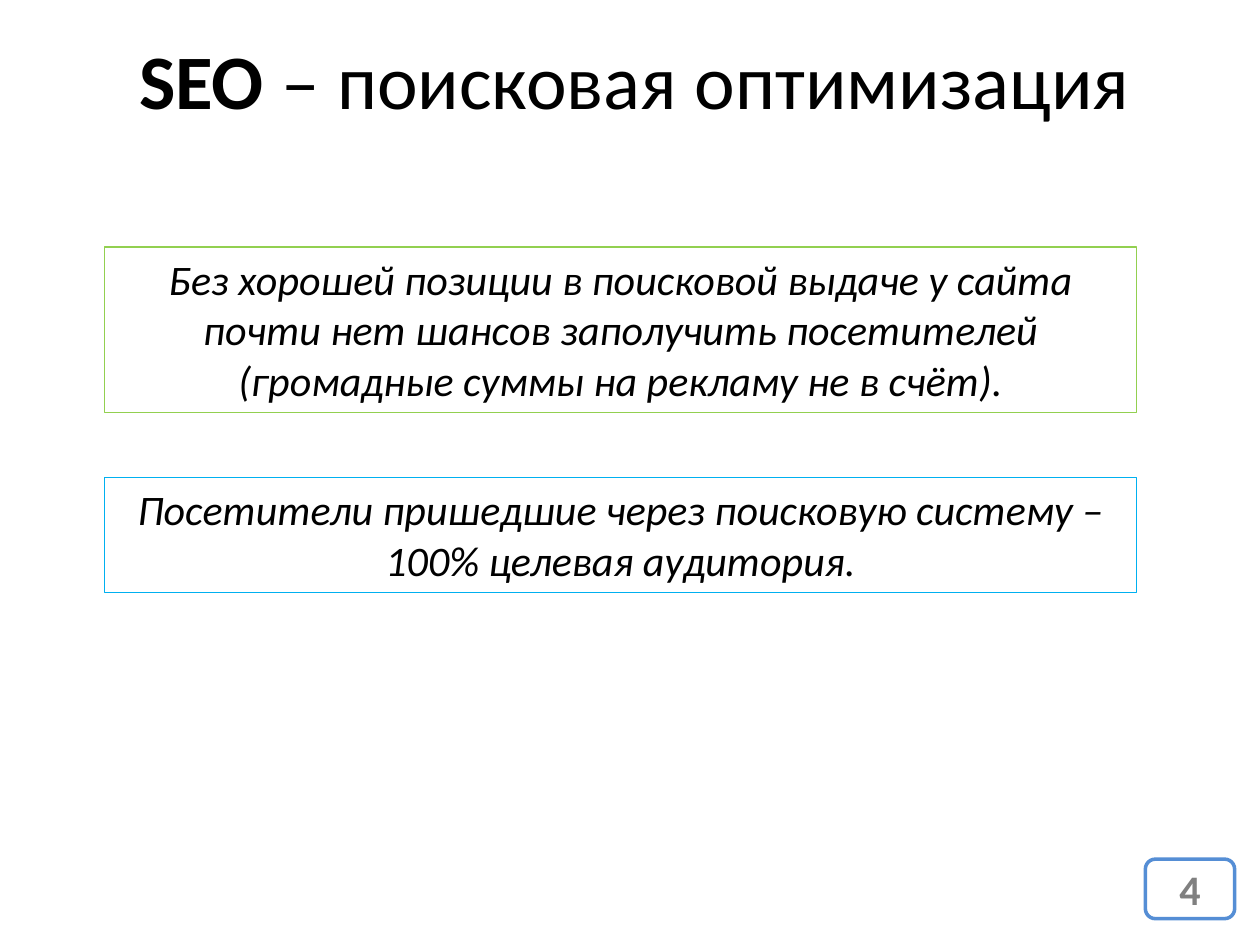
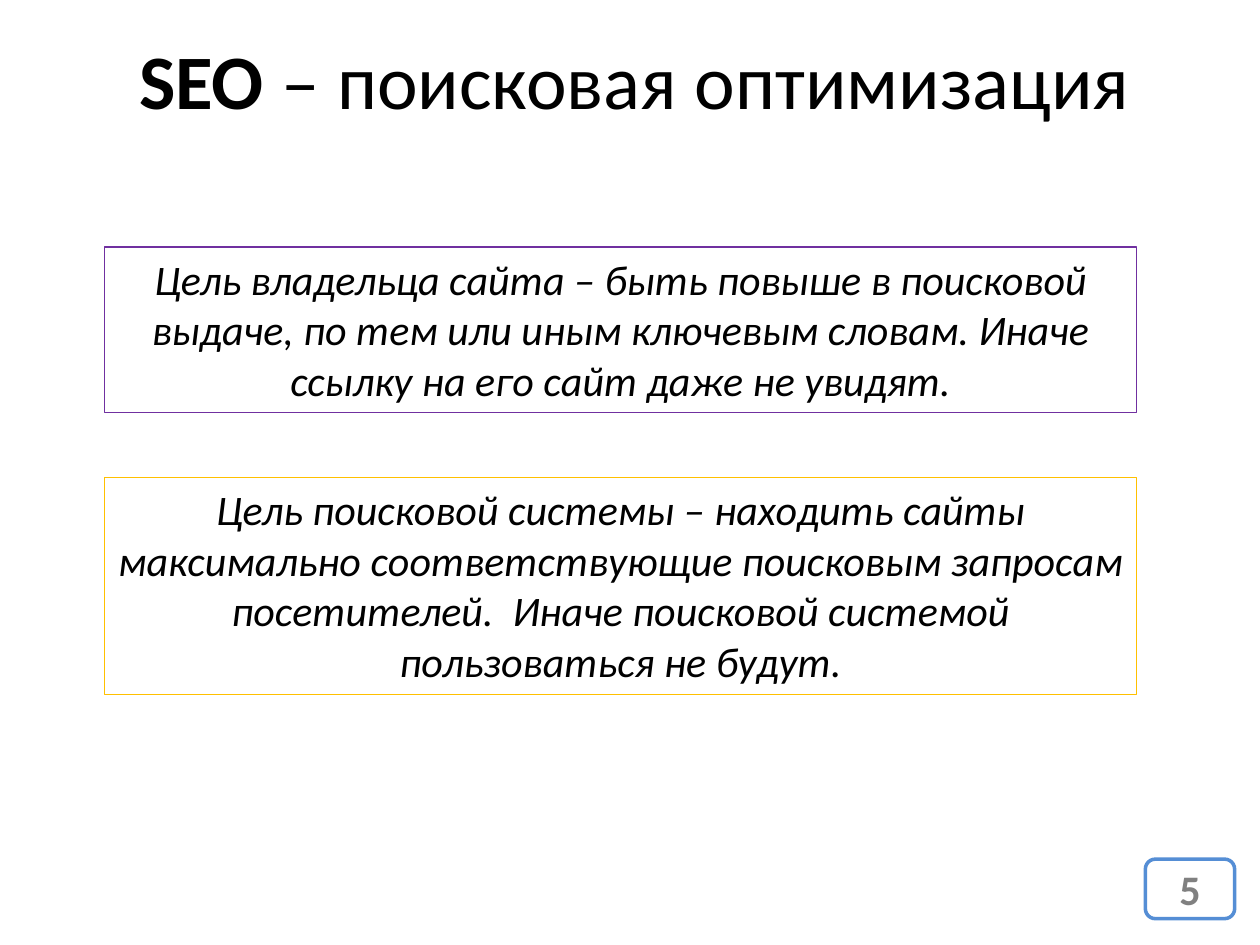
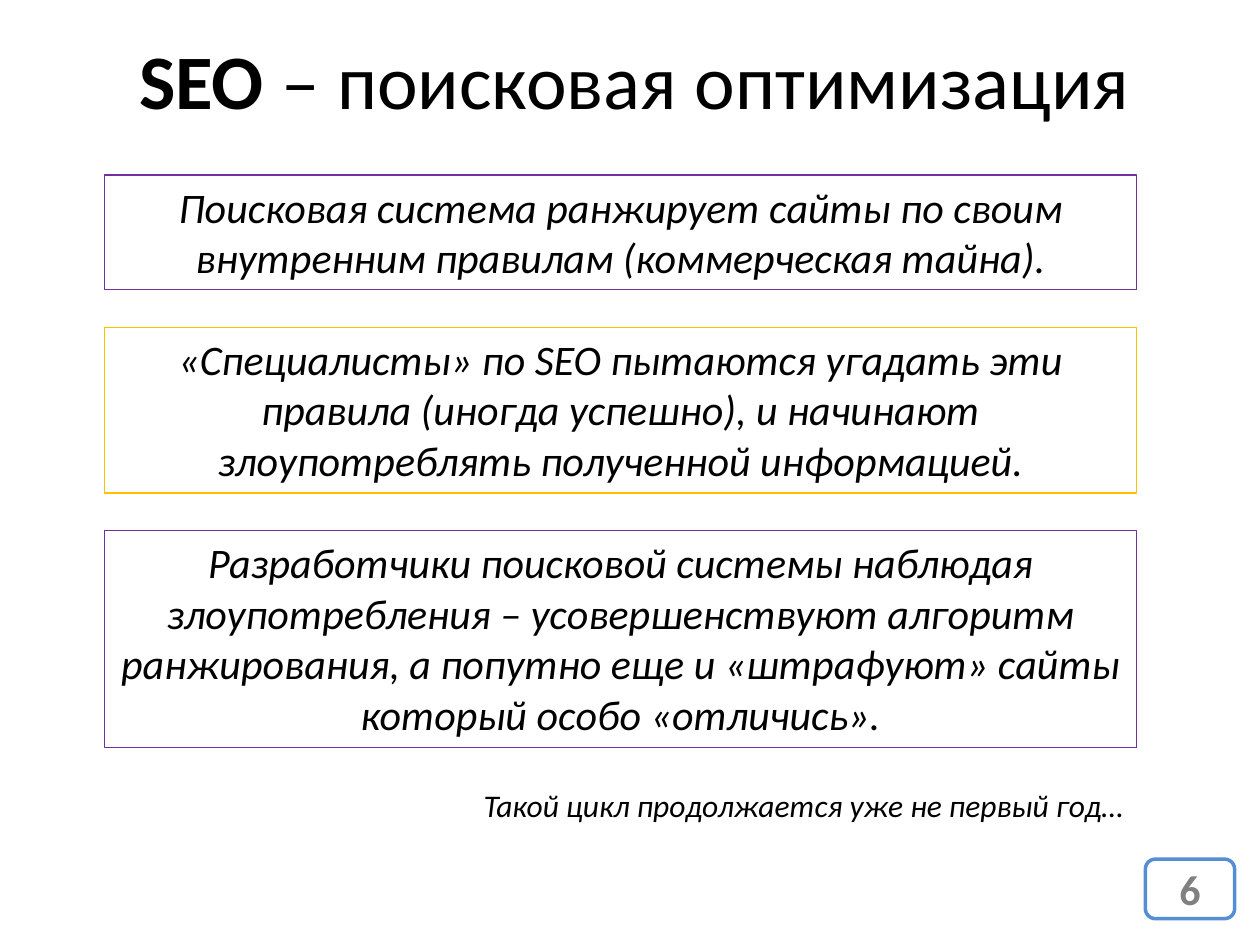
from pptx import Presentation
from pptx.dml.color import RGBColor
from pptx.enum.shapes import MSO_SHAPE
from pptx.enum.text import MSO_ANCHOR, MSO_AUTO_SIZE, PP_ALIGN
from pptx.util import Cm, Pt

BLACK = RGBColor(0x00, 0x00, 0x00)
WHITE = RGBColor(0xFF, 0xFF, 0xFF)
GREY = RGBColor(0x80, 0x80, 0x80)
GREEN = RGBColor(0x92, 0xD0, 0x50)
CYAN = RGBColor(0x00, 0xB0, 0xF0)
PURPLE = RGBColor(0x70, 0x30, 0xA0)
AMBER = RGBColor(0xFF, 0xC0, 0x00)
BADGE_BLUE = RGBColor(0x55, 0x8E, 0xD5)

FONT = "Calibri"
TITLE_ONLY = 5
FIRST_NUMBER = 4
THESIS_LEFT, THESIS_WIDTH = 2.11, 20.8
LINE_HEIGHT, THESIS_PADDING = 1.03, 0.25

TOPICS = [
    {
        "top": 4.98,
        "gap": 1.31,
        "theses": [
            ("Без хорошей позиции в поисковой выдаче у сайта почти нет шансов "
             "заполучить посетителей (громадные суммы на рекламу не в счёт).", 3, GREEN),
            ("Посетители пришедшие через поисковую систему – "
             "100% целевая аудитория.", 2, CYAN),
        ],
    },
    {
        "top": 4.98,
        "gap": 1.31,
        "theses": [
            ("Цель владельца сайта – быть повыше в поисковой выдаче, по тем или иным "
             "ключевым словам. Иначе ссылку на его сайт даже не увидят.", 3, PURPLE),
            ("Цель поисковой системы – находить сайты максимально соответствующие "
             "поисковым запросам посетителей.  Иначе поисковой системой "
             "пользоваться не будут.", 4, AMBER),
        ],
    },
    {
        "top": 3.53,
        "gap": 0.76,
        "theses": [
            ("Поисковая система ранжирует сайты по своим внутренним правилам "
             "(коммерческая тайна).", 2, PURPLE),
            ("«Специалисты» по SEO пытаются угадать эти правила (иногда успешно), "
             "и начинают злоупотреблять полученной информацией.", 3, AMBER),
            ("Разработчики поисковой системы наблюдая злоупотребления – "
             "усовершенствуют алгоритм ранжирования, а попутно еще и «штрафуют» "
             "сайты который особо «отличись».", 4, PURPLE),
        ],
        "remark": "Такой цикл продолжается уже не первый год…",
    },
]


def write(frame, text, size=24, color=BLACK, bold=False, italic=False,
          align=PP_ALIGN.CENTER, anchor=MSO_ANCHOR.TOP, wrap=True,
          fit=MSO_AUTO_SIZE.SHAPE_TO_FIT_TEXT):
    """Append a formatted run to the first paragraph of a text frame."""
    frame.word_wrap = wrap
    frame.auto_size = fit
    frame.vertical_anchor = anchor
    paragraph = frame.paragraphs[0]
    paragraph.alignment = align
    run = paragraph.add_run()
    run.text = text
    run.font.name = FONT
    run.font.size = Pt(size)
    run.font.color.rgb = color
    run.font.bold = bold
    run.font.italic = italic


def add_heading(slide):
    """Place the shared heading in the title placeholder."""
    heading = slide.shapes.title
    heading.left, heading.top = Cm(1.3), Cm(0.53)
    heading.width, heading.height = Cm(23), Cm(2.14)
    write(heading.text_frame, "SEO ", size=44, bold=True)
    write(heading.text_frame, "– поисковая оптимизация", size=44)


def add_frame(slide, outline, left, top, width, height, color, weight):
    """Draw an unfilled, shadowless outline shape."""
    frame = slide.shapes.add_shape(outline, Cm(left), Cm(top), Cm(width), Cm(height))
    frame.shadow.inherit = False
    frame.fill.background()
    frame.line.color.rgb = color
    frame.line.width = Pt(weight)
    return frame


def add_theses(slide, theses, top, gap):
    """Stack framed theses, each as tall as its lines of text."""
    for thesis, lines, color in theses:
        height = THESIS_PADDING + LINE_HEIGHT * lines
        frame = add_frame(slide, MSO_SHAPE.RECTANGLE, THESIS_LEFT, top,
                          THESIS_WIDTH, height, color, 0.75)
        write(frame.text_frame, thesis, italic=True)
        top += height + gap


def add_remark(slide, remark):
    """Add the closing remark below the theses."""
    box = slide.shapes.add_textbox(Cm(9.5), Cm(15.72), Cm(13.61), Cm(1.03))
    write(box.text_frame, remark, size=18, italic=True,
          align=PP_ALIGN.LEFT, wrap=False)


def add_number_badge(slide, number):
    """Add the rounded slide number badge in the lower right corner."""
    badge = add_frame(slide, MSO_SHAPE.ROUNDED_RECTANGLE, 23.09, 17.32,
                      1.8, 1.2, BADGE_BLUE, 2)
    badge.fill.solid()
    badge.fill.fore_color.rgb = WHITE
    write(badge.text_frame, str(number), color=GREY, bold=True,
          anchor=MSO_ANCHOR.MIDDLE, fit=MSO_AUTO_SIZE.NONE)


def main():
    """Build the slides and save the presentation."""
    deck = Presentation()
    deck.slide_width, deck.slide_height = Cm(25.4), Cm(19.05)
    for number, topic in enumerate(TOPICS, FIRST_NUMBER):
        slide = deck.slides.add_slide(deck.slide_layouts[TITLE_ONLY])
        add_heading(slide)
        add_theses(slide, topic["theses"], topic["top"], topic["gap"])
        if "remark" in topic:
            add_remark(slide, topic["remark"])
        add_number_badge(slide, number)
    deck.save("out.pptx")


if __name__ == "__main__":
    main()
